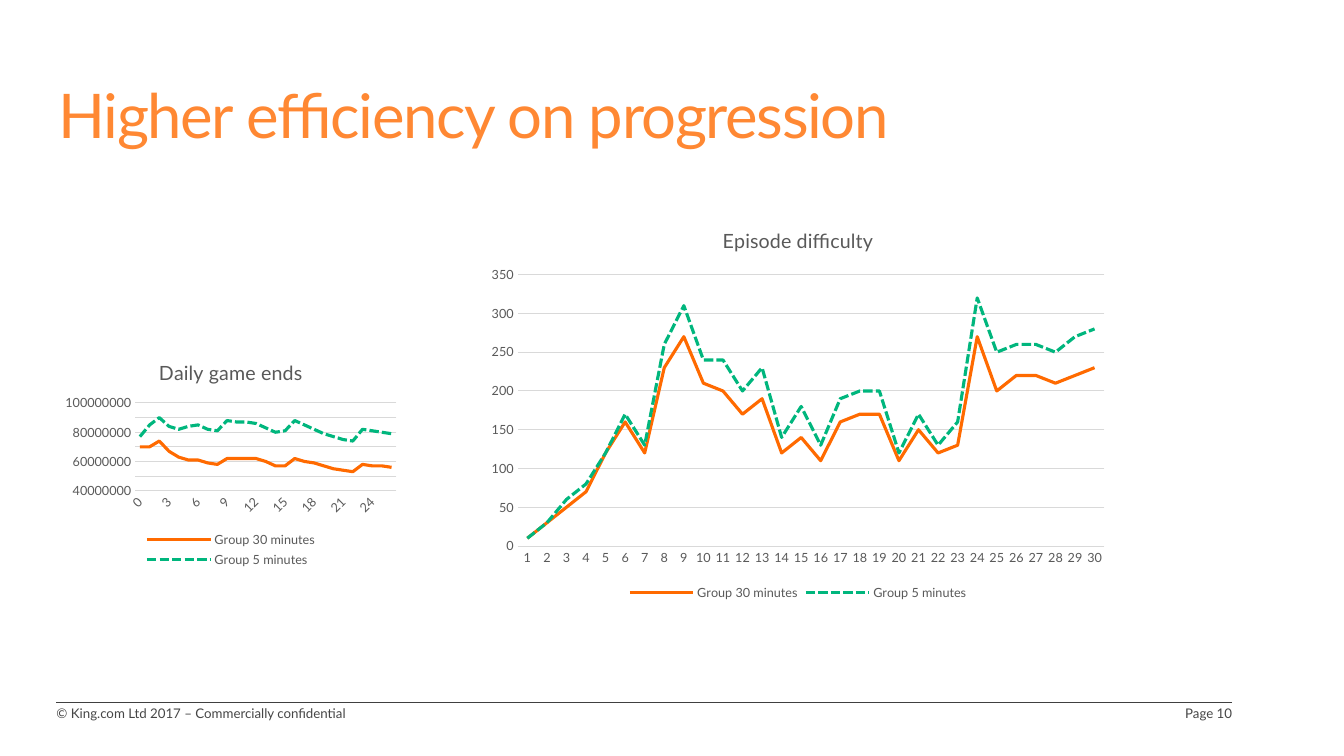
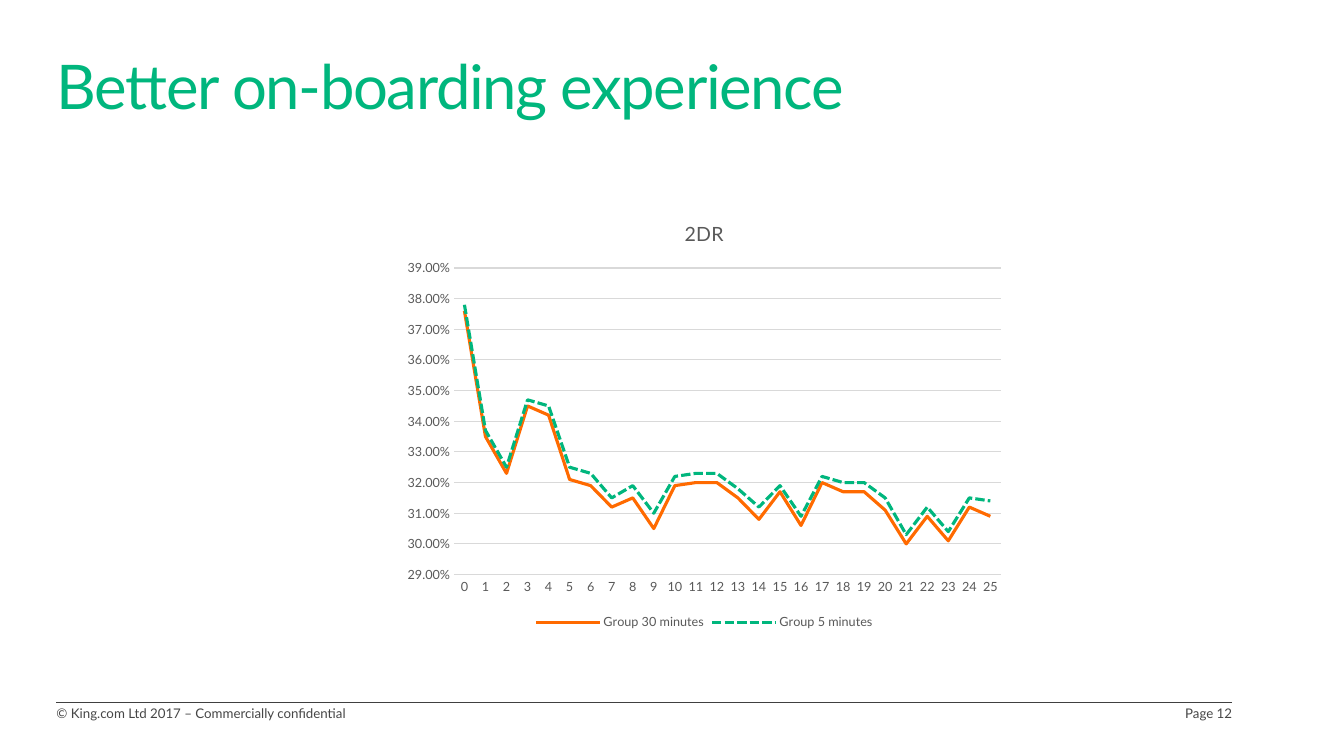
from lxml import etree
from pptx import Presentation
from pptx.chart.data import CategoryChartData
from pptx.dml.color import RGBColor
from pptx.enum.chart import XL_CHART_TYPE, XL_LEGEND_POSITION, XL_TICK_MARK
from pptx.enum.dml import MSO_LINE
from pptx.enum.shapes import MSO_CONNECTOR
from pptx.enum.text import MSO_ANCHOR, PP_ALIGN
from pptx.oxml.ns import qn
from pptx.util import Inches, Pt

LINE_CHART = XL_CHART_TYPE.LINE
BOTTOM = XL_LEGEND_POSITION.BOTTOM
NO_TICK = XL_TICK_MARK.NONE
SOLID, DASHED = MSO_LINE.SOLID, MSO_LINE.SQUARE_DOT
STRAIGHT = MSO_CONNECTOR.STRAIGHT
TOP, MIDDLE = MSO_ANCHOR.TOP, MSO_ANCHOR.MIDDLE
LEFT, RIGHT = PP_ALIGN.LEFT, PP_ALIGN.RIGHT

FONT = "Lato"
TITLE_ORANGE = RGBColor(0xFF, 0x88, 0x33)
ORANGE = RGBColor(0xFF, 0x6A, 0x00)
GREEN = RGBColor(0x00, 0xB6, 0x7D)
FOOTER_GREY = RGBColor(0x46, 0x46, 0x46)
RULE_GREY = RGBColor(0x40, 0x40, 0x40)
LABEL_GREY = RGBColor(0x59, 0x59, 0x59)
GRID_GREY = RGBColor(0xD9, 0xD9, 0xD9)

COPYRIGHT = "© King.com Ltd 2017 – Commercially confidential"
GROUPS = [
    ("Group 30 minutes", ORANGE, SOLID),
    ("Group 5 minutes", GREEN, DASHED),
]

EPISODE_DIFFICULTY = {
    "title": "Episode difficulty",
    "box": (4.75, 2.08, 6.33, 3.92),
    "first": 1,
    "scale": (0, 350, 50),
    "format": "General",
    "divisor": 1,
    "values": [
        [10, 30, 50, 70, 120, 160, 120, 230, 270, 210, 200, 170, 190, 120, 140,
         110, 160, 170, 170, 110, 150, 120, 130, 270, 200, 220, 220, 210, 220, 230],
        [10, 30, 60, 80, 120, 170, 130, 260, 310, 240, 240, 200, 230, 140, 180,
         130, 190, 200, 200, 120, 170, 130, 160, 320, 250, 260, 260, 250, 270, 280],
    ],
}
DAILY_GAME_ENDS = {
    "title": "Daily game ends",
    "box": (0.58, 3.42, 3.42, 2.25),
    "first": 0,
    "scale": (40_000_000, 100_000_000, 10_000_000),
    "format": "General",
    "divisor": 0.000001,
    "values": [
        [70, 70, 74, 67, 63, 61, 61, 59, 58, 62, 62, 62, 62, 60,
         57, 57, 62, 60, 59, 57, 55, 54, 53, 58, 57, 57, 56],
        [77, 85, 90, 84, 82, 84, 85, 82, 81, 88, 87, 87, 86, 83,
         80, 81, 88, 85, 82, 79, 77, 75, 74, 82, 81, 80, 79],
    ],
}
SECOND_DAY_RETURN = {
    "title": "2DR",
    "box": (3.92, 2, 6.13, 4.29),
    "first": 0,
    "scale": (0.29, 0.39, 0.01),
    "format": "0.00%",
    "divisor": 1000,
    "values": [
        [376, 335, 323, 345, 342, 321, 319, 312, 315, 305, 319, 320, 320,
         315, 308, 317, 306, 320, 317, 317, 311, 300, 309, 301, 312, 309],
        [378, 337, 325, 347, 345, 325, 323, 315, 319, 310, 322, 323, 323,
         318, 312, 319, 309, 322, 320, 320, 315, 303, 312, 304, 315, 314],
    ],
}
SLIDES = [
    {"title": "Higher efficiency on progression", "color": TITLE_ORANGE,
     "corner": (0.58, 0.5), "page": 10,
     "charts": [EPISODE_DIFFICULTY, DAILY_GAME_ENDS]},
    {"title": "Better on-boarding experience", "color": GREEN,
     "corner": (0.56, 0.21), "page": 12,
     "charts": [SECOND_DAY_RETURN]},
]


def style_font(font, size, color):
    font.name = FONT
    font.size = Pt(size)
    font.bold = False
    font.color.rgb = color


def add_text(slide, text, box, size=9.5, color=FOOTER_GREY, align=LEFT,
             anchor=TOP, line_spacing=1.0, tracking=0):
    frame = slide.shapes.add_textbox(*map(Inches, box)).text_frame
    frame.word_wrap = True
    frame.vertical_anchor = anchor
    frame.margin_left = frame.margin_right = 0
    frame.margin_top = frame.margin_bottom = 0
    paragraph = frame.paragraphs[0]
    paragraph.alignment = align
    paragraph.line_spacing = line_spacing
    run = paragraph.add_run()
    run.text = text
    style_font(run.font, size, color)
    if tracking:
        run.font._element.set("spc", str(tracking * 100))


def add_footer(slide, page):
    left, right, rule_y, text_y = 0.56, 12.22, 6.97, 7
    rule = slide.shapes.add_connector(
        STRAIGHT, *map(Inches, (right, rule_y, left, rule_y)))
    rule.line.color.rgb = RULE_GREY
    rule.line.width = Pt(0.5)
    etree.SubElement(rule._element.spPr, qn("a:effectLst"))
    add_text(slide, COPYRIGHT, (left, text_y, 4.25, 0.29))
    add_text(slide, f"Page {page}", (right - 0.79, text_y, 0.79, 0.13), align=RIGHT)


def style_axes(chart, content):
    for axis in (chart.category_axis, chart.value_axis):
        axis.major_tick_mark = axis.minor_tick_mark = NO_TICK
        style_font(axis.tick_labels.font, 9, LABEL_GREY)
    chart.category_axis.format.line.color.rgb = GRID_GREY
    chart.category_axis.format.line.width = Pt(0.75)

    values = chart.value_axis
    values.minimum_scale, values.maximum_scale, values.major_unit = content["scale"]
    values.tick_labels.number_format = content["format"]
    values.tick_labels.number_format_is_linked = False
    values.format.line.fill.background()
    values.has_major_gridlines = True
    values.major_gridlines.format.line.color.rgb = GRID_GREY
    values.major_gridlines.format.line.width = Pt(0.75)


def add_line_chart(slide, content):
    data = CategoryChartData(number_format=content["format"])
    first = content["first"]
    count = len(content["values"][0])
    data.categories = [str(number) for number in range(first, first + count)]
    for (name, _, _), values in zip(GROUPS, content["values"]):
        data.add_series(name, [round(v / content["divisor"], 3) for v in values])
    chart = slide.shapes.add_chart(
        LINE_CHART, *map(Inches, content["box"]), data).chart
    style_font(chart.font, 10, LABEL_GREY)

    chart.has_title = True
    heading = chart.chart_title.text_frame.paragraphs[0].add_run()
    heading.text = content["title"]
    style_font(heading.font, 14, LABEL_GREY)

    chart.has_legend = True
    chart.legend.position = BOTTOM
    chart.legend.include_in_layout = False
    style_font(chart.legend.font, 9, LABEL_GREY)

    style_axes(chart, content)
    plot = chart.plots[0]
    plot.vary_by_categories = False
    for series, (_, color, dash) in zip(plot.series, GROUPS):
        series.smooth = False
        series.format.line.color.rgb = color
        series.format.line.width = Pt(2.25)
        series.format.line.dash_style = dash


def main():
    """Build the two result slides and save the presentation."""
    deck = Presentation()
    deck.slide_width, deck.slide_height = Inches(13.33), Inches(7.5)
    blank = deck.slide_layouts[6]
    for content in SLIDES:
        slide = deck.slides.add_slide(blank)
        add_footer(slide, content["page"])
        add_text(slide, content["title"], (*content["corner"], 12.32, 1.38),
                 size=44, color=content["color"], anchor=MIDDLE,
                 line_spacing=0.85, tracking=-1)
        for chart_content in content["charts"]:
            add_line_chart(slide, chart_content)
    deck.save("out.pptx")


if __name__ == "__main__":
    main()
